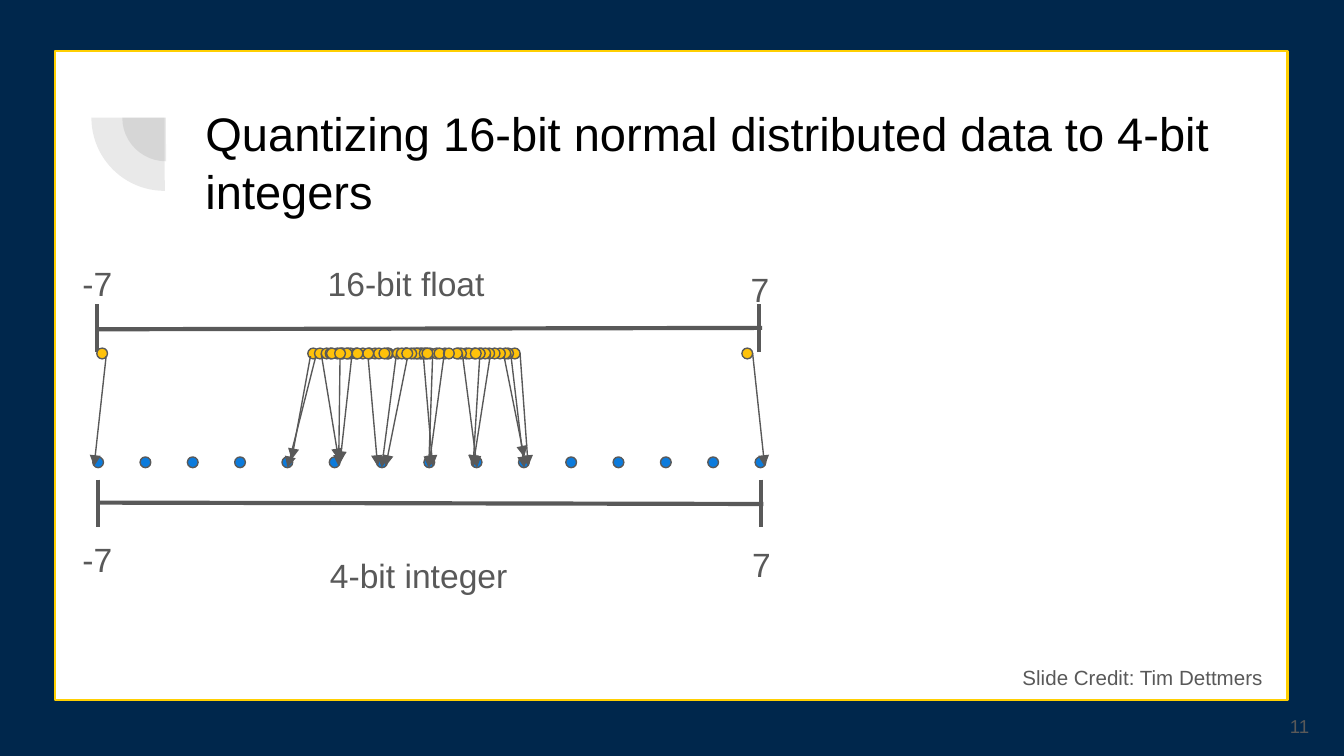
from dataclasses import dataclass
from typing import NamedTuple

from lxml import etree
from pptx import Presentation
from pptx.dml import color
from pptx.enum import shapes, text
from pptx.oxml import ns
from pptx.util import Inches, Pt


@dataclass(frozen=True)
class Theme:
    navy: str = "00274C"
    maize: str = "FFCF01"
    white: str = "FFFFFF"
    black: str = "000000"
    gray: str = "595959"
    blue: str = "0C7BDC"
    amber: str = "FFC20A"
    font: str = "Arial"
    title_size: float = 25.2
    label_size: float = 18
    credit_size: float = 11
    number_size: float = 10
    thin: float = 0.75
    frame: float = 1.5
    thick: float = 2.25


class Label(NamedTuple):
    words: str
    left: float
    top: float
    width: float
    height: float
    size: float
    align: text.PP_ALIGN = text.PP_ALIGN.LEFT
    anchor: text.MSO_ANCHOR = text.MSO_ANCHOR.TOP
    ink: str = "595959"
    spacing: float = 1.1


class Segment(NamedTuple):
    x1: float
    y1: float
    x2: float
    y2: float


THEME = Theme()
CENTER, RIGHT = text.PP_ALIGN.CENTER, text.PP_ALIGN.RIGHT
MIDDLE = text.MSO_ANCHOR.MIDDLE
DOT = 0.08
FLOAT_TOP, INTEGER_TOP = 2.59, 3.4
INTEGER_LEFT, INTEGER_STEP, INTEGER_COUNT = 0.69, 0.352, 15

LABELS = [
    Label("Quantizing 16-bit normal distributed data to 4-bit integers",
          1.43, 0.65, 7.69, 1.09, THEME.title_size, anchor=MIDDLE,
          ink=THEME.black, spacing=1.03),
    Label("11", 9.24, 5.18, 0.6, 0.43, THEME.number_size, RIGHT, MIDDLE),
    Label("16-bit float", 2.34, 1.83, 1.57, 0.24, THEME.label_size),
    Label("-7", 0.03, 1.83, 1.39, 0.43, THEME.label_size, CENTER),
    Label("7", 4.96, 1.87, 1.39, 0.43, THEME.label_size, CENTER),
    Label("4-bit integer", 1.97, 4, 2.29, 0.24, THEME.label_size, CENTER),
    Label("-7", 0.03, 3.88, 1.39, 0.43, THEME.label_size, CENTER),
    Label("7", 4.97, 3.92, 1.39, 0.43, THEME.label_size, CENTER),
    Label("Slide Credit: Tim Dettmers", 7.51, 4.83, 2.04, 0.39, THEME.credit_size),
]

# Each scale is a bar with a tick at either end
SCALES = [
    Segment(0.72, 2.45, 5.67, 2.44),
    Segment(0.72, 2.62, 0.72, 2.26),
    Segment(5.65, 2.62, 5.65, 2.26),
    Segment(0.72, 3.74, 5.68, 3.75),
    Segment(0.73, 3.57, 0.73, 3.92),
    Segment(5.66, 3.57, 5.66, 3.92),
]

# Left edges of the float samples, in stacking order
FLOAT_LEFTS = [
    3.27, 2.85, 3.07, 3.43, 3.37, 3.54, 3.04, 3.1, 3.16, 3.21, 2.29, 2.34,
    2.39, 2.42, 2.47, 2.51, 2.55, 2.57, 2.61, 2.66, 2.71, 3.79, 3.74, 3.72,
    3.68, 3.64, 3.13, 3.09, 3.06, 3.02, 2.98, 3.6, 3.57, 3.53, 3.49, 3.45,
    3.39, 3.36, 3.23, 3.12, 2.75, 2.78, 2.84, 2.92, 2.98, 2.5, 2.43, 2.82,
    2.7, 2.62, 2.54, 3.5, 3.3, 3.14, 2.95, 2.99, 2.49,
]
OUTLIER_LEFTS = [0.72, 5.52]

ROUNDINGS = [
    Segment(2.31, 2.65, 2.17, 3.42),
    Segment(2.35, 2.65, 2.14, 3.48),
    Segment(2.39, 2.63, 2.52, 3.42),
    Segment(2.53, 2.67, 2.52, 3.47),
    Segment(2.62, 2.63, 2.53, 3.44),
    Segment(2.74, 2.67, 2.81, 3.47),
    Segment(2.95, 2.63, 2.84, 3.48),
    Segment(3.03, 2.67, 2.87, 3.47),
    Segment(3.15, 2.65, 3.22, 3.47),
    Segment(3.31, 2.6, 3.19, 3.48),
    Segment(3.22, 2.63, 3.19, 3.48),
    Segment(3.44, 2.63, 3.55, 3.48),
    Segment(3.57, 2.65, 3.52, 3.47),
    Segment(3.65, 2.63, 3.52, 3.47),
    Segment(3.75, 2.65, 3.9, 3.4),
    Segment(3.8, 2.63, 3.9, 3.48),
    Segment(3.87, 2.63, 3.93, 3.47),
]
OUTLIER_ROUNDINGS = [
    Segment(0.79, 2.65, 0.7, 3.47),
    Segment(5.6, 2.63, 5.69, 3.47),
]


def rgb(value: str) -> color.RGBColor:
    return color.RGBColor.from_string(value)


def draw_shape(page, kind, left: float, top: float, width: float, height: float,
               fill: str, line: str = "", weight: float = 0):
    shape = page.shapes.add_shape(
        kind, Inches(left), Inches(top), Inches(width), Inches(height))
    shape.shadow.inherit = False
    shape.fill.solid()
    shape.fill.fore_color.rgb = rgb(fill)
    if line:
        shape.line.color.rgb = rgb(line)
        shape.line.width = Pt(weight)
    else:
        shape.line.fill.background()
    return shape


def draw_quarter(page, left: float, top: float, size: float) -> None:
    pie = draw_shape(page, shapes.MSO_SHAPE.PIE, left, top, size, size, THEME.gray)
    pie.rotation = 270
    pie.adjustments[0] = 107.93
    pie.adjustments[1] = 162
    tint = pie.fill._xPr.find(".//" + ns.qn("a:srgbClr"))
    etree.SubElement(tint, ns.qn("a:alpha"), val="13000")


def draw_dot(page, left: float, top: float, fill: str) -> None:
    draw_shape(page, shapes.MSO_SHAPE.OVAL, left, top, DOT, DOT,
               fill, THEME.gray, THEME.thin)


def draw_line(page, segment: Segment, weight: float, arrow: bool = False) -> None:
    line = page.shapes.add_connector(
        shapes.MSO_CONNECTOR.STRAIGHT, *(Inches(value) for value in segment))
    line.line.color.rgb = rgb(THEME.gray)
    line.line.width = Pt(weight)
    if arrow:
        etree.SubElement(line.line._get_or_add_ln(), ns.qn("a:tailEnd"), type="triangle")
    etree.SubElement(line._element.spPr, ns.qn("a:effectLst"))


def draw_label(page, label: Label) -> None:
    box = page.shapes.add_textbox(Inches(label.left), Inches(label.top),
                                  Inches(label.width), Inches(label.height))
    frame = box.text_frame
    frame.word_wrap = True
    frame.vertical_anchor = label.anchor
    frame.margin_left = frame.margin_right = Inches(0.1)
    frame.margin_top = frame.margin_bottom = Inches(0.1)
    frame.text = label.words
    para = frame.paragraphs[0]
    para.alignment = label.align
    para.line_spacing = label.spacing
    span = para.runs[0]
    span.font.name = THEME.font
    span.font.size = Pt(label.size)
    span.font.color.rgb = rgb(label.ink)


def main() -> None:
    deck = Presentation()
    deck.slide_width, deck.slide_height = Inches(10), Inches(5.625)
    page = deck.slides.add_slide(deck.slide_layouts[6])

    # Background, framed panel and corner ornament
    page.background.fill.solid()
    page.background.fill.fore_color.rgb = rgb(THEME.navy)
    draw_shape(page, shapes.MSO_SHAPE.RECTANGLE, 0.41, 0.38, 9.17, 4.83,
               THEME.white, THEME.maize, THEME.frame)
    draw_quarter(page, 0.91, 0.55, 0.65)
    draw_quarter(page, 0.68, 0.33, 1.09)

    # Scales and wording
    for segment in SCALES:
        draw_line(page, segment, THEME.thick)
    for label in LABELS:
        draw_label(page, label)

    # Integer levels, then float samples with their roundings
    for index in range(INTEGER_COUNT):
        draw_dot(page, INTEGER_LEFT + index * INTEGER_STEP, INTEGER_TOP, THEME.blue)
    for lefts, roundings in ((FLOAT_LEFTS, ROUNDINGS),
                             (OUTLIER_LEFTS, OUTLIER_ROUNDINGS)):
        for left in lefts:
            draw_dot(page, left, FLOAT_TOP, THEME.amber)
        for segment in roundings:
            draw_line(page, segment, THEME.thin, arrow=True)

    deck.save("out.pptx")


if __name__ == "__main__":
    main()
